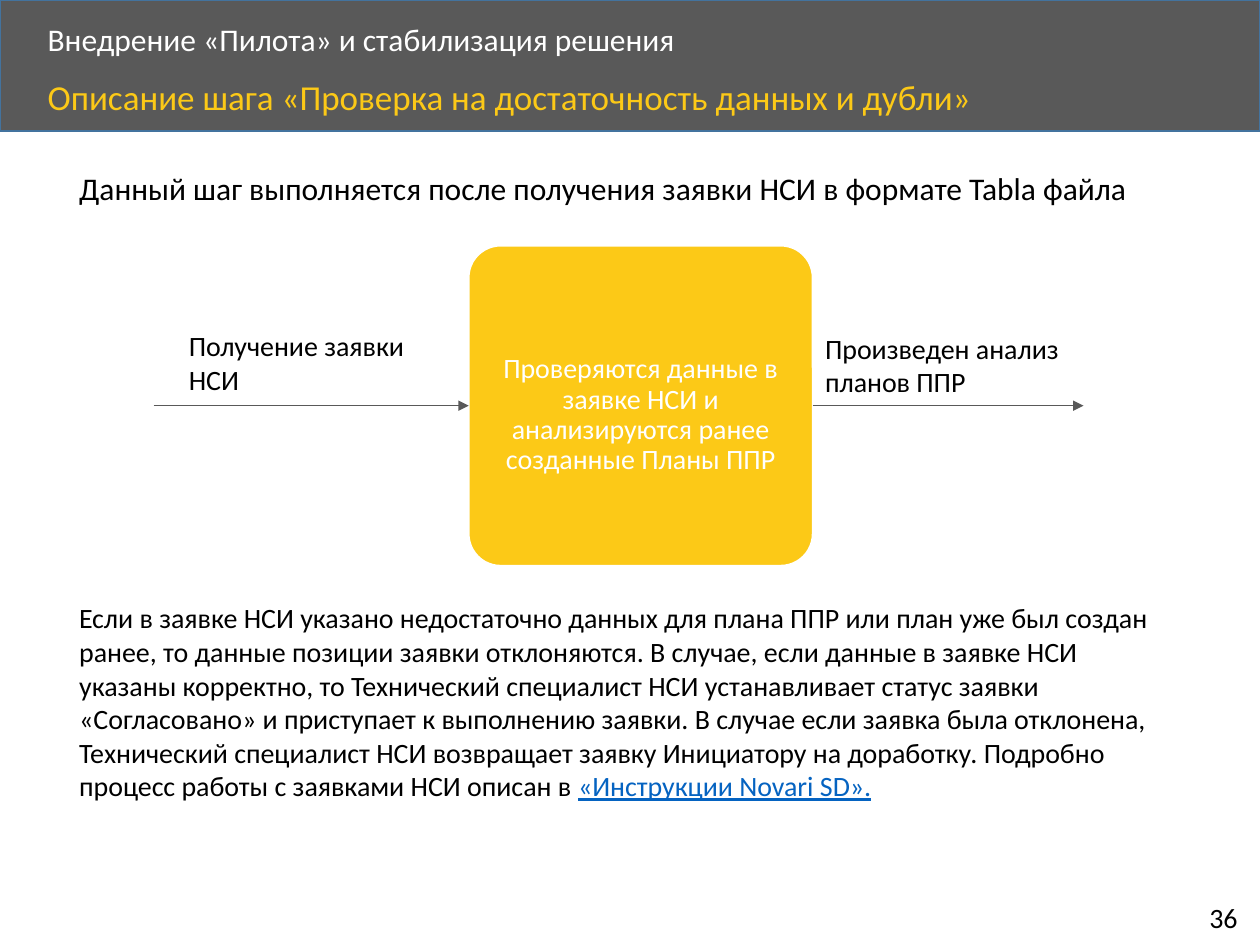
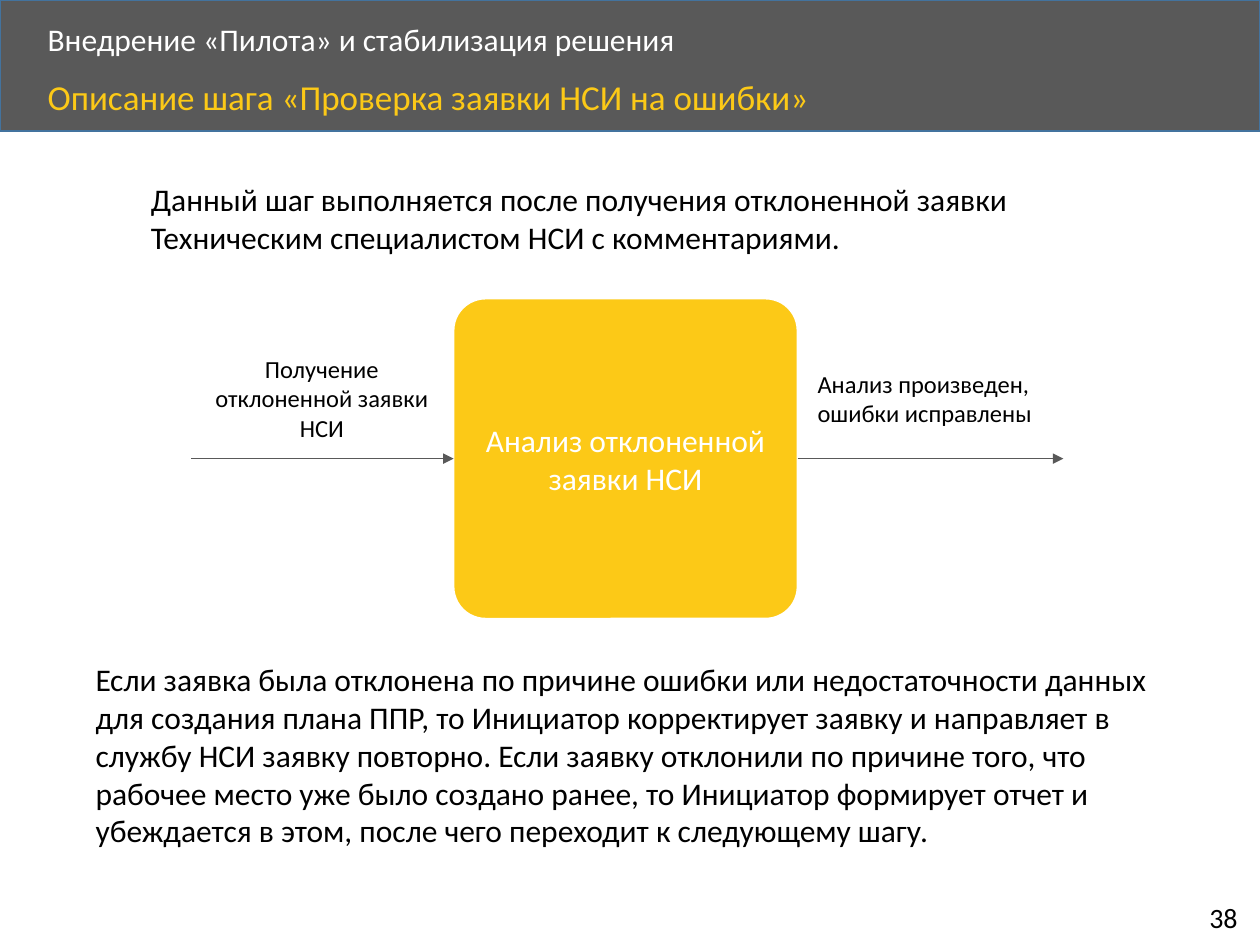
from lxml.etree import SubElement
from pptx import Presentation
from pptx.dml.color import RGBColor
from pptx.enum.shapes import MSO_CONNECTOR, MSO_SHAPE
from pptx.enum.text import MSO_ANCHOR, PP_ALIGN
from pptx.oxml.ns import qn
from pptx.util import Inches, Pt

COLORS = {
    "band": "595959",
    "band_line": "43739E",
    "accent": "FCC917",
    "white": "FFFFFF",
    "text": "000000",
    "link": "0563C1",
}
FONT = "Calibri"
SECTION = "Внедрение «Пилота» и стабилизация решения"
CARD_WIDTH, CARD_HEIGHT = 2.73, 2.54


def rgb(name):
    return RGBColor.from_string(COLORS[name])


class StepDeck:
    def __init__(self):
        self.presentation = Presentation()
        self.presentation.slide_width = Inches(10)
        self.presentation.slide_height = Inches(7.5)
        self.slide = None

    def add_slide(self, title, number):
        """Start a slide with its header band, titles and page number."""
        self.slide = self.presentation.slides.add_slide(self.presentation.slide_layouts[6])
        self.shape(MSO_SHAPE.RECTANGLE, (0, 0, 10, 1.04), "band", "band_line")
        section = self.text((0.28, 0.14, 8.07, 0.38), SECTION, 18, "white", line_spacing=0.9)
        section.text_frame.vertical_anchor = MSO_ANCHOR.MIDDLE
        self.text((0.28, 0.59, 8.67, 0.45), title, 20, "accent", line_spacing=0.9)
        page_number = self.text((9.5, 7.1, 0.46, 0.37), str(number), 16)
        page_number.text_frame.word_wrap = False

    def shape(self, kind, box, fill, line):
        shape = self.slide.shapes.add_shape(kind, *map(Inches, box))
        shape.shadow.inherit = False
        shape.fill.solid()
        shape.fill.fore_color.rgb = rgb(fill)
        shape.line.color.rgb = rgb(line)
        shape.line.width = Pt(1)
        return shape

    def set_text(self, shape, text, size, color, align=PP_ALIGN.LEFT, line_spacing=1.0):
        shape.text_frame.word_wrap = True
        shape.text_frame.text = text
        paragraph = shape.text_frame.paragraphs[0]
        paragraph.alignment = align
        paragraph.line_spacing = line_spacing
        self.style_run(paragraph.runs[0], size, color)

    def style_run(self, run, size, color):
        run.font.name = FONT
        run.font.size = Pt(size)
        run.font.color.rgb = rgb(color)

    def text(self, box, text, size, color="text", **paragraph_style):
        text_box = self.slide.shapes.add_textbox(*map(Inches, box))
        self.set_text(text_box, text, size, color, **paragraph_style)
        return text_box

    def reference(self, text_box, text, size):
        """Append an underlined document name to the text."""
        run = text_box.text_frame.paragraphs[0].add_run()
        run.text = text
        self.style_run(run, size, "link")
        run.font.underline = True

    def card(self, left, top, text, size, line_spacing=1.0, top_inset=0):
        box = (left, top, CARD_WIDTH, CARD_HEIGHT)
        card = self.shape(MSO_SHAPE.ROUNDED_RECTANGLE, box, "accent", "white")
        card.adjustments[0] = 0.1
        frame = card.text_frame
        frame.margin_left = frame.margin_right = Inches(0.01)
        frame.margin_top, frame.margin_bottom = Inches(top_inset), 0
        frame.vertical_anchor = MSO_ANCHOR.MIDDLE
        self.set_text(card, text, size, "white", PP_ALIGN.CENTER, line_spacing)
        return card

    def arrow(self, start, end, y):
        connector = self.slide.shapes.add_connector(
            MSO_CONNECTOR.STRAIGHT, Inches(start), y, Inches(end), y)
        connector.line.color.rgb = rgb("band")
        connector.line.width = Pt(0.5)
        properties = connector._element.spPr
        SubElement(properties.find(qn("a:ln")), qn("a:tailEnd"), type="triangle")
        SubElement(properties, qn("a:effectLst"))
        return connector

    def flow(self, card, start, end):
        """Draw the arrow into the card and the arrow out of it."""
        middle = card.top + card.height // 2
        left, right = card.left.inches, card.left.inches + CARD_WIDTH
        self.arrow(start, left, middle).end_connect(card, 1)
        self.arrow(right, end, middle).begin_connect(card, 3)


def add_data_check(deck):
    deck.add_slide("Описание шага «Проверка на достаточность данных и дубли»", 36)
    deck.text((0.53, 1.29, 8.88, 0.4),
              "Данный шаг выполняется после получения заявки НСИ в формате Tabla файла", 18)
    card = deck.card(
        3.72, 1.95,
        "Проверяются данные в заявке НСИ и анализируются ранее созданные Планы ППР",
        16, line_spacing=0.9, top_inset=0.15)
    deck.flow(card, 1.22, 8.6)
    deck.text((1.4, 2.56, 2.33, 0.64), "Получение заявки НСИ", 16)
    deck.text((6.45, 2.58, 2.53, 0.64), "Произведен анализ планов ППР", 16)
    explanation = deck.text(
        (0.53, 4.72, 8.88, 1.99),
        "Если в заявке НСИ указано недостаточно данных для плана ППР или план уже был создан "
        "ранее, то данные позиции заявки отклоняются. В случае, если данные в заявке НСИ "
        "указаны корректно, то Технический специалист НСИ устанавливает статус заявки "
        "«Согласовано» и приступает к выполнению заявки. В случае если заявка была отклонена, "
        "Технический специалист НСИ возвращает заявку Инициатору на доработку. Подробно "
        "процесс работы c заявками НСИ описан в ", 16)
    deck.reference(explanation, "«Инструкции Novari SD».", 16)


def add_error_check(deck):
    deck.add_slide("Описание шага «Проверка заявки НСИ на ошибки»", 38)
    deck.text((1.1, 1.38, 7.97, 0.71),
              "Данный шаг выполняется после получения отклоненной заявки "
              "Техническим специалистом НСИ с комментариями.", 18)
    card = deck.card(3.6, 2.37, "Анализ отклоненной заявки НСИ", 18)
    deck.flow(card, 1.52, 8.44)
    deck.text((1.57, 2.76, 1.97, 0.81), "Получение отклоненной заявки НСИ", 14,
              align=PP_ALIGN.CENTER)
    deck.text((6.39, 2.88, 2.05, 0.57), "Анализ произведен, ошибки исправлены", 14)
    deck.text(
        (0.66, 5.19, 8.85, 1.62),
        "Если заявка была отклонена по причине ошибки или недостаточности данных "
        "для создания плана ППР, то Инициатор корректирует заявку и направляет в "
        "службу НСИ заявку повторно. Если заявку отклонили по причине того, что "
        "рабочее место уже было создано ранее, то Инициатор формирует отчет и "
        "убеждается в этом, после чего переходит к следующему шагу.", 18)


def main():
    deck = StepDeck()
    add_data_check(deck)
    add_error_check(deck)
    deck.presentation.save("out.pptx")


if __name__ == "__main__":
    main()
